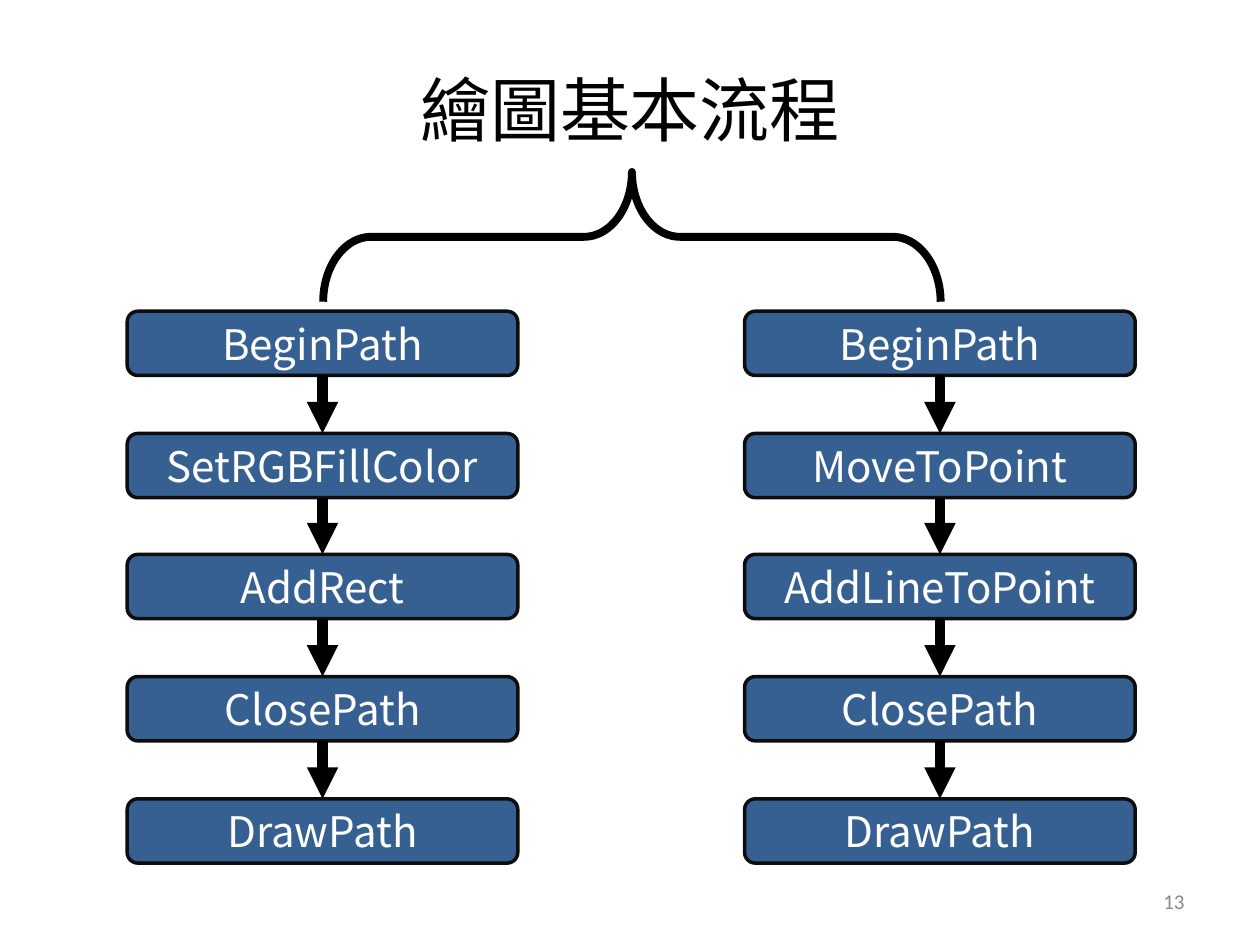
import dataclasses

import lxml.etree
import pptx
import pptx.dml.color
import pptx.enum.shapes
import pptx.enum.text
import pptx.oxml.ns
import pptx.util

SHAPES = pptx.enum.shapes.MSO_SHAPE
ALIGN = pptx.enum.text.PP_ALIGN
ANCHOR = pptx.enum.text.MSO_ANCHOR
PX = 9144


@dataclasses.dataclass(frozen=True)
class Theme:
    """Colours, fonts, type sizes and line widths of the deck."""

    ink: str = "000000"
    box_fill: str = "376092"
    box_line: str = "0D0D0D"
    box_text: str = "FFFFFF"
    muted: str = "898989"
    main_font: str = "Noto Sans CJK SC"
    number_font: str = "Calibri"
    title_size: int = 40
    step_size: int = 24
    number_size: int = 12
    box_width: float = 2
    brace_width: float = 4.5
    arrow_width: float = 6


def px(*lengths):
    """Turn whole px into EMU."""
    return [pptx.util.Emu(length * PX) for length in lengths]


def color(value):
    """Turn a hex string into a colour."""
    return pptx.dml.color.RGBColor.from_string(value)


class FlowSlide:
    """Draws the elements of a flow chart on one slide in one theme."""

    def __init__(self, deck, theme):
        """Add a title-only slide to the deck."""
        self.theme = theme
        self.page = deck.slides.add_slide(deck.slide_layouts[5])

    def label(self, box, text, size, ink, font, align, anchor):
        """Put one styled paragraph into a shape."""
        frame = box.text_frame
        frame.word_wrap = True
        frame.auto_size = pptx.enum.text.MSO_AUTO_SIZE.NONE
        frame.vertical_anchor = anchor
        para = frame.paragraphs[0]
        para.text = text
        para.alignment = align
        para.font.size = pptx.util.Pt(size)
        para.font.name = font
        para.font.color.rgb = color(ink)
        latin = para.font._element.find(pptx.oxml.ns.qn("a:latin"))
        east_asian = lxml.etree.Element(pptx.oxml.ns.qn("a:ea"), typeface=font)
        latin.addnext(east_asian)

    def outline(self, line, ink, width):
        """Set the colour and width of a line."""
        line.color.rgb = color(ink)
        line.width = pptx.util.Pt(width)

    def title(self, text, left, top, width, height):
        """Move and fill the title placeholder."""
        box = self.page.shapes.title
        box.left, box.top, box.width, box.height = px(left, top, width, height)
        self.label(box, text, self.theme.title_size, self.theme.ink,
                   self.theme.main_font, ALIGN.CENTER, ANCHOR.TOP)

    def number(self, text, left, top, width, height):
        """Add the page number."""
        box = self.page.shapes.add_textbox(*px(left, top, width, height))
        self.label(box, text, self.theme.number_size, self.theme.muted,
                   self.theme.number_font, ALIGN.RIGHT, ANCHOR.MIDDLE)

    def step(self, text, left, top, width, height):
        """Add one rounded step box."""
        box = self.page.shapes.add_shape(
            SHAPES.ROUNDED_RECTANGLE, *px(left, top, width, height))
        box.shadow.inherit = False
        box.fill.solid()
        box.fill.fore_color.rgb = color(self.theme.box_fill)
        self.outline(box.line, self.theme.box_line, self.theme.box_width)
        self.label(box, text, self.theme.step_size, self.theme.box_text,
                   self.theme.main_font, ALIGN.CENTER, ANCHOR.MIDDLE)

    def arrow(self, center, top, bottom):
        """Add a downward arrow."""
        arrow = self.page.shapes.add_connector(
            pptx.enum.shapes.MSO_CONNECTOR.STRAIGHT,
            *px(center, top, center, bottom))
        self.outline(arrow.line, self.theme.ink, self.theme.arrow_width)
        properties = arrow._element.spPr
        lxml.etree.SubElement(properties.find(pptx.oxml.ns.qn("a:ln")),
                              pptx.oxml.ns.qn("a:tailEnd"), type="triangle")
        lxml.etree.SubElement(properties, pptx.oxml.ns.qn("a:effectLst"))

    def brace(self, left, top, width, height):
        """Add a brace turned so that its point faces up."""
        brace = self.page.shapes.add_shape(
            SHAPES.LEFT_BRACE, *px(left, top, width, height))
        brace.rotation = 90
        brace.adjustments[0] = 0.37
        brace.shadow.inherit = False
        brace.fill.background()
        self.outline(brace.line, self.theme.ink, self.theme.brace_width)

    def flow(self, steps, left):
        """Add a column of steps joined by arrows."""
        width, height, first, pitch = 310, 51, 247, 96.75
        tops = [round(first + row * pitch) for row in range(len(steps))]
        for text, top in zip(steps, tops):
            self.step(text, left, top, width, height)
        for top, following in zip(tops, tops[1:]):
            self.arrow(left + width // 2, top + height, following)


def main():
    """Build and save the deck."""
    deck = pptx.Presentation()
    deck.slide_width, deck.slide_height = px(1000, 750)
    slide = FlowSlide(deck, Theme())
    slide.title("繪圖基本流程", 191, 48, 618, 77)
    slide.brace(450, -57, 103, 490)
    slide.flow(["BeginPath", "SetRGBFillColor", "AddRect",
                "ClosePath", "DrawPath"], 101)
    slide.flow(["BeginPath", "MoveToPoint", "AddLineToPoint",
                "ClosePath", "DrawPath"], 591)
    slide.number("13", 717, 695, 233, 40)
    deck.save("out.pptx")


if __name__ == "__main__":
    main()
